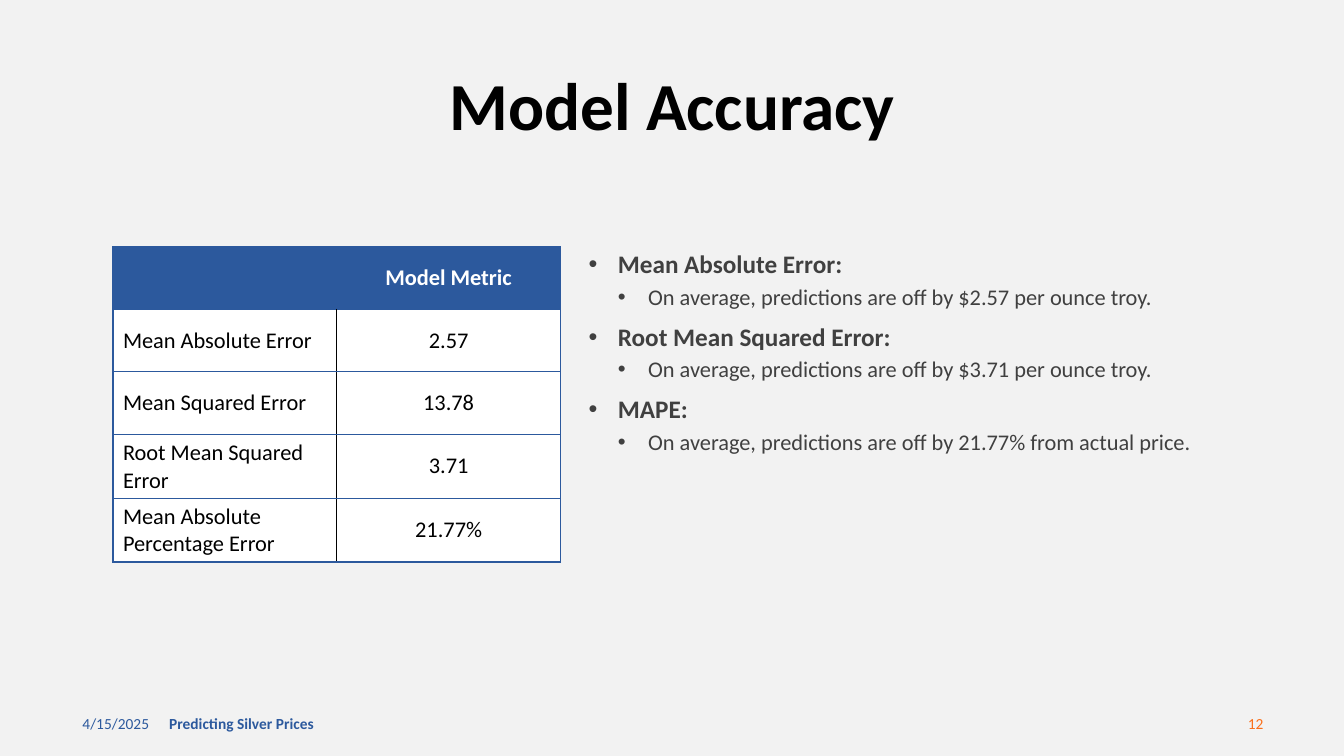
from lxml import etree
from pptx import Presentation
from pptx import util as u
from pptx.dml.color import RGBColor
from pptx.enum import text
from pptx.oxml import ns

PX = 9144  # EMU per px, 100 px to the inch
FONT = "Calibri"
BLUE = RGBColor(0x2C, 0x59, 0x9D)
ORANGE = RGBColor(0xFA, 0x6F, 0x1A)
BLACK = RGBColor(0, 0, 0)
WHITE = RGBColor(0xFF, 0xFF, 0xFF)
GREY = RGBColor(0x40, 0x40, 0x40)
BACKGROUND = RGBColor(0xF2, 0xF2, 0xF2)
LEFT, CENTER, RIGHT = text.PP_ALIGN.LEFT, text.PP_ALIGN.CENTER, text.PP_ALIGN.RIGHT


def write(para, words, size, color, bold=False, align=LEFT):
    para.text = words
    para.alignment = align
    for span in para.runs:
        span.font.name = FONT
        span.font.size = u.Pt(size)
        span.font.bold = bold
        span.font.color.rgb = color


def add_box(left, top, width, height, anchor):
    box = slide.shapes.add_textbox(left * PX, top * PX, width * PX, height * PX)
    box.text_frame.word_wrap = True
    box.text_frame.vertical_anchor = anchor
    return box.text_frame


deck = Presentation()
deck.slide_width, deck.slide_height = 1333 * PX, 750 * PX
slide = deck.slides.add_slide(deck.slide_layouts[6])
slide.background.fill.solid()
slide.background.fill.fore_color.rgb = BACKGROUND

# Footer and title
one_liners = [
    (72, 698, 300, 40, "4/15/2025", 11, BLUE, False, LEFT),
    (158, 698, 450, 40, "Predicting Silver Prices", 11, BLUE, True, LEFT),
    (963, 698, 300, 40, "12", 11, ORANGE, False, RIGHT),
    (92, 69, 1150, 77, "Model Accuracy", 48, BLACK, True, CENTER),
]
for left, top, width, height, *style in one_liners:
    frame = add_box(left, top, width, height, text.MSO_ANCHOR.MIDDLE)
    write(frame.paragraphs[0], *style)
    frame.paragraphs[0].line_spacing = 0.9 if style[1] == 48 else 1.0

# Metrics table
metrics = [
    ("", "Model Metric"),
    ("Mean Absolute Error", "2.57"),
    ("Mean Squared Error", "13.78"),
    ("Root Mean Squared Error", "3.71"),
    ("Mean Absolute Percentage Error", "21.77%"),
]
table = slide.shapes.add_table(len(metrics), 2, 112 * PX, 245 * PX, 444 * PX, 310 * PX).table
table.first_row = table.horz_banding = False
for column in table.columns:
    column.width = 222 * PX
for r, values in enumerate(metrics):
    table.rows[r].height = 62 * PX
    header = r == 0
    for c, value in enumerate(values):
        cell = table.cell(r, c)
        cell.vertical_anchor = text.MSO_ANCHOR.MIDDLE
        write(cell.text_frame.paragraphs[0], value, 16, WHITE if header else BLACK,
              header, CENTER if c else LEFT)
        inner_side = "lnL" if c else "lnR"
        for side in ("lnL", "lnR", "lnT", "lnB"):
            color = BLACK if side == inner_side and not header else BLUE
            line = etree.SubElement(cell._tc.get_or_add_tcPr(), ns.qn(f"a:{side}"), w=str(u.Pt(1)))
            solid = etree.SubElement(line, ns.qn("a:solidFill"))
            etree.SubElement(solid, ns.qn("a:srgbClr"), val=str(color))
        cell.fill.solid()
        cell.fill.fore_color.rgb = BLUE if header else WHITE

# Explanations: (level, words)
explanations = [
    (0, "Mean Absolute Error:"),
    (1, "On average, predictions are off by $2.57 per ounce troy."),
    (0, "Root Mean Squared Error:"),
    (1, "On average, predictions are off by $3.71 per ounce troy."),
    (0, "MAPE:"),
    (1, "On average, predictions are off by 21.77% from actual price."),
]
frame = add_box(574, 245, 658, 488, text.MSO_ANCHOR.TOP)
for i, (level, words) in enumerate(explanations):
    para = frame.add_paragraph() if i else frame.paragraphs[0]
    para.level = level
    para.line_spacing = 0.9
    para.space_before = u.Pt((5 if level else 10) if i else 0)
    props = para._p.get_or_add_pPr()
    props.set("marL", str((59 if level else 29) * PX))
    props.set("indent", str((-30 if level else -29) * PX))
    etree.SubElement(props, ns.qn("a:buFont"), typeface="Arial")
    etree.SubElement(props, ns.qn("a:buChar"), char="•")
    write(para, words, 16 if level else 18, GREY, level == 0)

deck.save("out.pptx")
